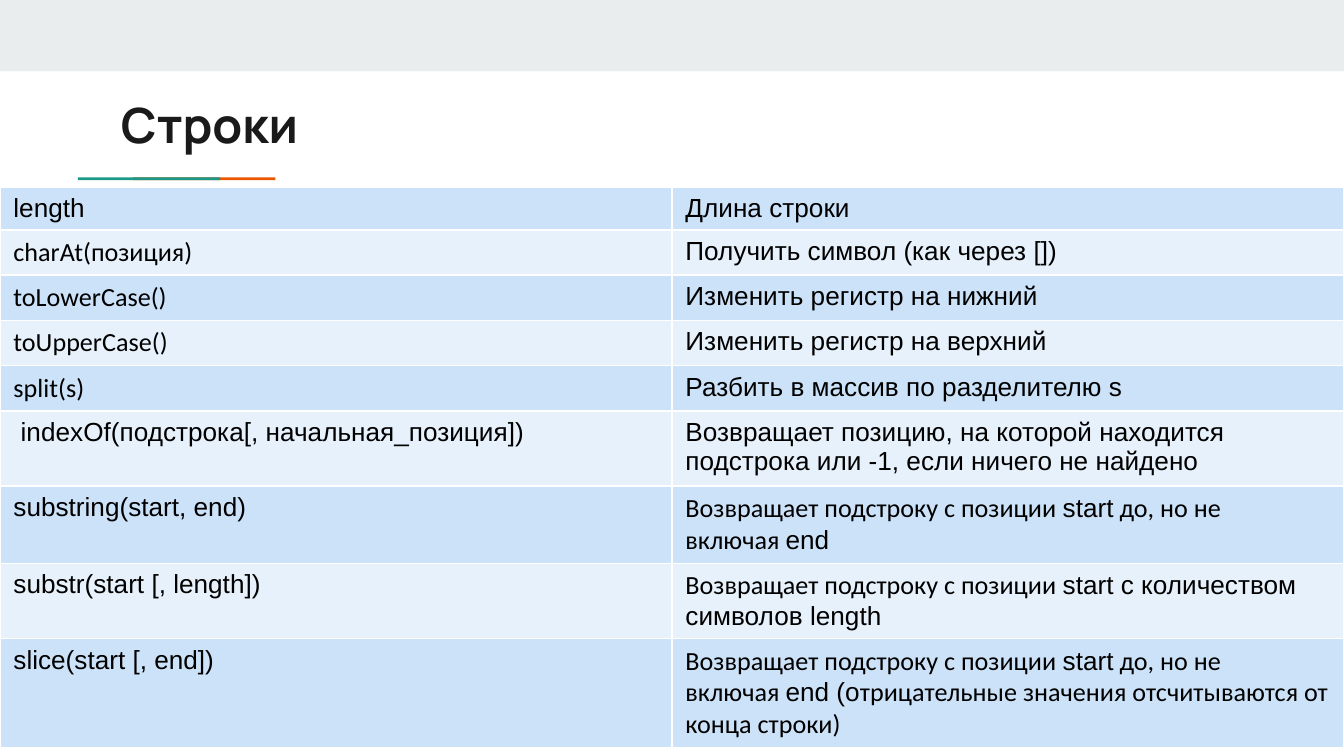
from lxml import etree
from pptx import Presentation
from pptx.dml.color import RGBColor
from pptx.enum.shapes import MSO_SHAPE
from pptx.enum.text import MSO_ANCHOR, PP_ALIGN
from pptx.oxml.ns import qn
from pptx.util import Inches, Pt

RECT = MSO_SHAPE.RECTANGLE
TOP = MSO_ANCHOR.TOP
LEFT = PP_ALIGN.LEFT

GRAY = RGBColor(0xE9, 0xED, 0xEE)
ORANGE = RGBColor(0xEB, 0x56, 0x00)
TEAL = RGBColor(0x1A, 0x99, 0x88)
INK = RGBColor(0x1A, 0x1A, 0x1A)
BLACK = RGBColor(0, 0, 0)
WHITE = RGBColor(0xFF, 0xFF, 0xFF)
BANDS = (RGBColor(0xCC, 0xE2, 0xF8), RGBColor(0xE7, 0xF1, 0xFB))

SANS = "Arial"
BODY = "Calibri"
HEAD = "Manrope"

HARD = chr(160)
RETURNS = ("Возвращает подстроку с позиции" + HARD, BODY)
START = ("start", SANS)
UNTIL = (HARD + "до, но не включая" + HARD, BODY)

ROWS = [
    (0.32, [("length", SANS)], [("Длина cтроки", SANS)]),
    (0.32, [("charAt(позиция)", BODY)],
     [("Получить символ (как через [])", SANS)]),
    (0.32, [("toLowerCase()", BODY)], [("Изменить регистр на нижний", SANS)]),
    (0.32, [("toUpperCase()", BODY)], [("Изменить регистр на верхний", SANS)]),
    (0.32, [("split(s)", BODY)],
     [("Разбить в массив по разделителю s", SANS)]),
    (0.56, [(" indexOf(подстрока[, начальная_позиция])", SANS)],
     [("Возвращает позицию, на которой находится подстрока или -1, "
       "если ничего не найдено", SANS)]),
    (0.56, [("substring(start, end)" + HARD, SANS)],
     [RETURNS, START, UNTIL, ("end", SANS)]),
    (0.56, [("substr(start [, length])", SANS)],
     [RETURNS, ("start с количеством символов length", SANS)]),
    (0.79, [("slice(start [, end])", SANS)],
     [RETURNS, START, UNTIL, ("end (о", SANS),
      ("трицательные значения отсчитываются от конца строки)", BODY)]),
]


def add_text(para, text, font=SANS, size=14, color=BLACK, bold=False):
    run = para.add_run()
    run.text = text
    run.font.name = font
    run.font.size = Pt(size)
    run.font.color.rgb = color
    run.font.bold = bold


def add_bar(slide, x, y, w, h, color):
    bar = slide.shapes.add_shape(RECT, Inches(x), Inches(y),
                                 Inches(w), Inches(h))
    bar.shadow.inherit = False
    bar.fill.solid()
    bar.fill.fore_color.rgb = color
    bar.line.fill.background()


def add_accent(slide, x, y, w, h):
    part = 0.72 * w
    add_bar(slide, x + w - part, y, part, h, ORANGE)
    add_bar(slide, x, y, part, h, TEAL)


def set_title(slide, x, y, w, h):
    title = slide.shapes.title
    title.left, title.top = Inches(x), Inches(y)
    title.width, title.height = Inches(w), Inches(h)
    frame = title.text_frame
    frame.margin_left = frame.margin_right = Inches(0.1)
    frame.margin_top = frame.margin_bottom = Inches(0.1)
    frame.vertical_anchor = TOP
    para = frame.paragraphs[0]
    para.alignment = LEFT
    add_text(para, "Строки", font=HEAD, size=26, color=INK, bold=True)


def set_edges(cell):
    props = cell._tc.get_or_add_tcPr()
    for place, side in enumerate(("lnL", "lnR", "lnT", "lnB")):
        line = etree.Element(qn(f"a:{side}"), w=str(Pt(1)))
        fill = etree.SubElement(line, qn("a:solidFill"))
        etree.SubElement(fill, qn("a:srgbClr"), val=str(WHITE))
        props.insert(place, line)


def add_methods(slide, x, y, w):
    height = sum(row[0] for row in ROWS)
    table = slide.shapes.add_table(len(ROWS), 2, Inches(x), Inches(y),
                                   Inches(w), Inches(height)).table
    table.first_row = False
    table.horz_banding = False
    for col in table.columns:
        col.width = Inches(w / 2)
    for r, (tall, *cells) in enumerate(ROWS):
        table.rows[r].height = Inches(tall)
        for c, runs in enumerate(cells):
            cell = table.cell(r, c)
            cell.fill.solid()
            cell.fill.fore_color.rgb = BANDS[r % 2]
            set_edges(cell)
            for text, font in runs:
                add_text(cell.text_frame.paragraphs[0], text, font=font)


def main():
    deck = Presentation()
    deck.slide_width = Inches(10)
    deck.slide_height = Inches(10 * 9 / 16)
    slide = deck.slides.add_slide(deck.slide_layouts[5])
    add_bar(slide, 0, 0, 10, 0.53, GRAY)
    add_accent(slide, 0.58, 1.32, 1.47, 0.02)
    set_title(slide, 0.8, 0.61, 8.41, 0.59)
    add_methods(slide, 0, 1.39, 10)
    deck.save("out.pptx")


if __name__ == "__main__":
    main()
